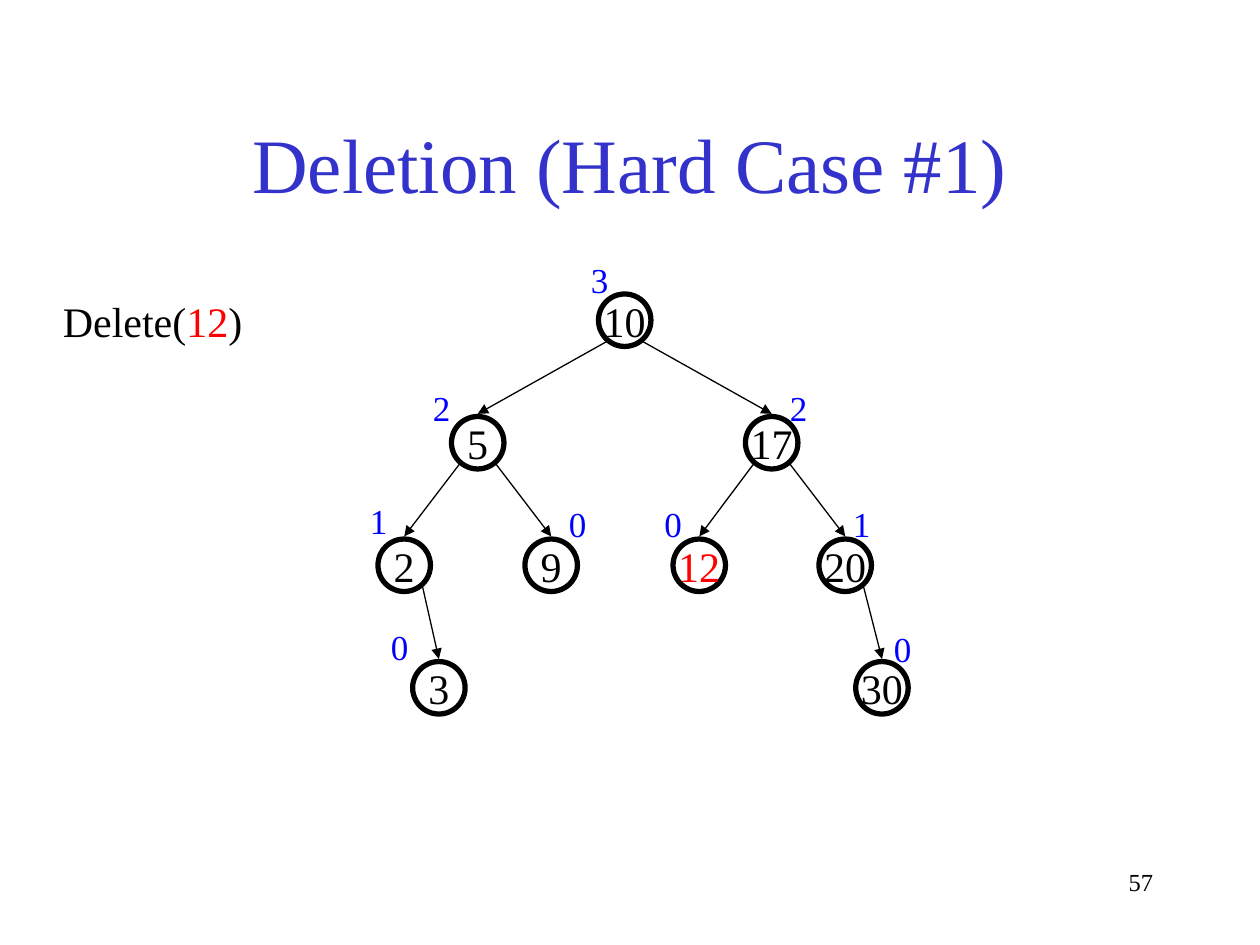
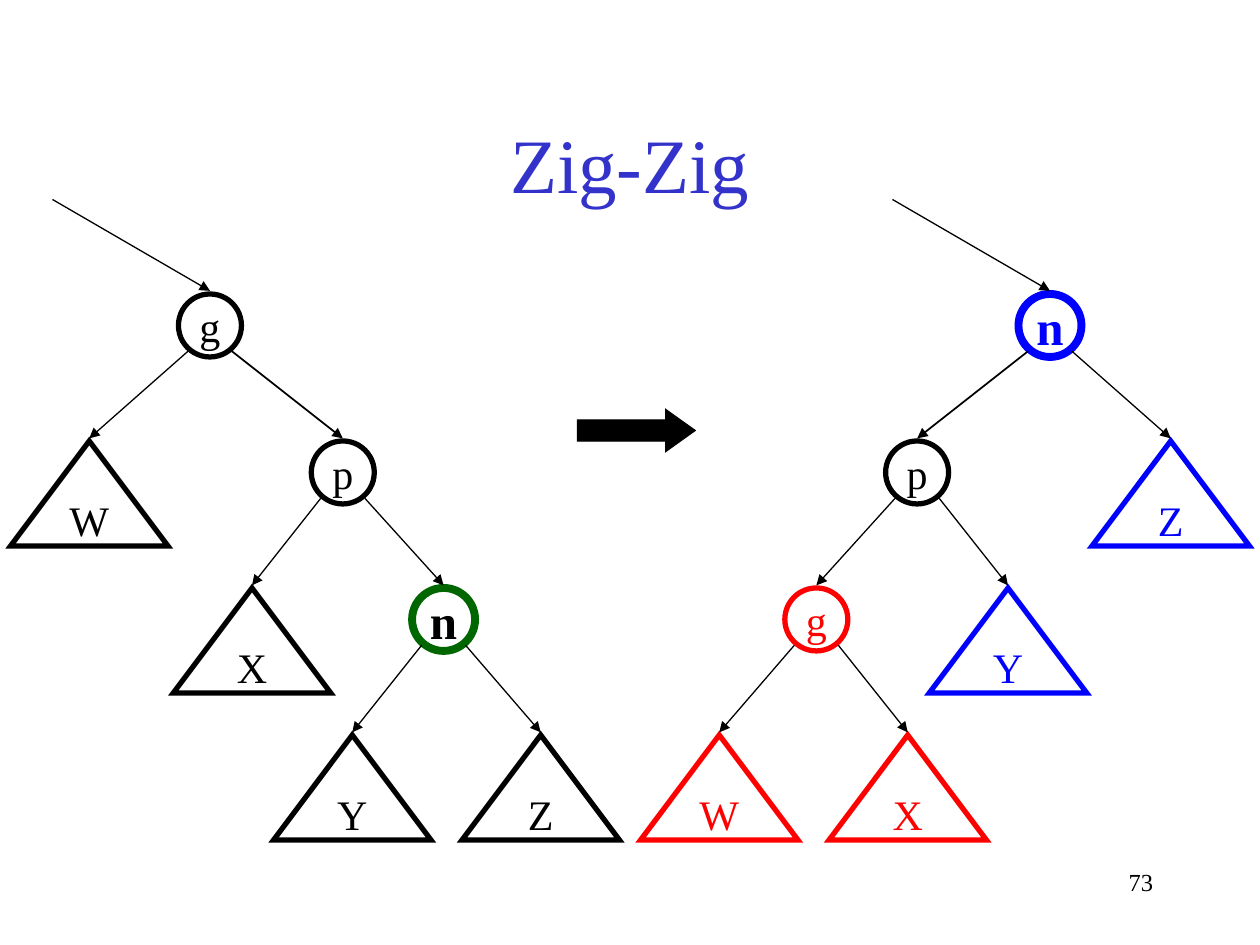
from lxml import etree
from pptx import Presentation
from pptx.dml.color import RGBColor
from pptx.enum.shapes import MSO_CONNECTOR, MSO_SHAPE
from pptx.enum.text import MSO_ANCHOR, MSO_AUTO_SIZE, PP_ALIGN
from pptx.oxml.ns import qn
from pptx.util import Inches, Pt

OVAL, TRIANGLE, ARROW = MSO_SHAPE.OVAL, MSO_SHAPE.ISOSCELES_TRIANGLE, MSO_SHAPE.RIGHT_ARROW
STRAIGHT = MSO_CONNECTOR.STRAIGHT
LEFT, CENTER, RIGHT = PP_ALIGN.LEFT, PP_ALIGN.CENTER, PP_ALIGN.RIGHT
MIDDLE = MSO_ANCHOR.MIDDLE
FIT = MSO_AUTO_SIZE.SHAPE_TO_FIT_TEXT

COLORS = {
    "title": "3333CC",
    "black": "000000",
    "red": "FF0000",
    "blue": "0000FF",
    "green": "006600",
}
FONT = "Times New Roman"
COLS, ROWS = 120, 90
ROOT_ROW = 28


def rgb(name):
    return RGBColor.from_string(COLORS[name])


class Deck:
    def __init__(self):
        self.prs = Presentation()
        self.prs.slide_width, self.prs.slide_height = Inches(10), Inches(7.5)
        self.s = None

    def x(self, cols):
        return round(self.prs.slide_width * cols / COLS)

    def y(self, rows):
        return round(self.prs.slide_height * rows / ROWS)

    def box(self, left, top, width, height):
        return self.x(left), self.y(top), self.x(width), self.y(height)

    def style(self, p, size, color="black", align=LEFT, bold=False):
        p.alignment = align
        p.font.name, p.font.size, p.font.bold = FONT, Pt(size), bold
        p.font.color.rgb = rgb(color)

    def slide(self, title, number):
        self.s = self.prs.slides.add_slide(self.prs.slide_layouts[5])
        sp = self.s.shapes.title
        sp.left, sp.top, sp.width, sp.height = self.box(9, 8, 102, 15)
        tf = sp.text_frame
        tf.text, tf.vertical_anchor = title, MIDDLE
        self.style(tf.paragraphs[0], 44, "title", CENTER)
        self.text([(number, "black")], (86, 82, 25, 6), 14, RIGHT, True)

    def text(self, runs, box, size, align=LEFT, wrap=False):
        tf = self.s.shapes.add_textbox(*self.box(*box)).text_frame
        tf.word_wrap = wrap
        if not wrap:
            tf.auto_size = FIT
        p = tf.paragraphs[0]
        self.style(p, size, runs[0][1], align)
        for words, color in runs:
            r = p.add_run()
            r.text = words
            if len(runs) > 1:
                r.font.color.rgb = rgb(color)

    def shape(self, kind, box, line, weight, fill=None):
        sp = self.s.shapes.add_shape(kind, *self.box(*box))
        sp.shadow.inherit = False
        if fill:
            sp.fill.solid()
            sp.fill.fore_color.rgb = rgb(fill)
        else:
            sp.fill.background()
        sp.line.color.rgb, sp.line.width = rgb(line), Pt(weight)
        etree.SubElement(sp.line._get_or_add_ln(), qn("a:miter"), lim="800000")
        return sp

    def node(self, kind, label, cx, top, width, height, color="black", line=None, strong=False):
        box = (cx - width / 2, top, width, height)
        sp = self.shape(kind, box, line or color, 4.5 if strong else 3)
        tf = sp.text_frame
        tf.word_wrap, tf.vertical_anchor = False, MIDDLE
        tf.text = label
        self.style(tf.paragraphs[0], 28 if strong else 24, color, CENTER, strong)

    def arrow(self, x1, y1, x2, y2, weight=0.75):
        c = self.s.shapes.add_connector(
            STRAIGHT, self.x(x1), self.y(y1), self.x(x2), self.y(y2))
        c.line.color.rgb, c.line.width = rgb("black"), Pt(weight)
        etree.SubElement(c.line._get_or_add_ln(), qn("a:tailEnd"), type="triangle")
        etree.SubElement(c._element.spPr, qn("a:effectLst"))

    def edge(self, parent, child, size, weight=0.75):
        (px, py), (cx, cy) = parent, child
        side = 1 if cx > px else -1
        self.arrow(px + side * 0.35 * size, py + 0.91 * size, cx, cy - 0.25, weight)


def deletion_slide(deck):
    deck.slide("Deletion (Hard Case #1)", "57")
    size, step = 5, 11.67
    tree = {
        "10": (59.5, 0, None, "3", -2.4, -4),
        "5": (45.5, 1, "10", "2", -3.45, -3.45),
        "17": (73.5, 1, "10", "2", 2.55, -3.45),
        "2": (38.5, 2, "5", "1", -2.45, -4.35),
        "9": (52.5, 2, "5", "0", 2.5, -4.1),
        "12": (66.6, 2, "17", "0", -2.5, -4.1),
        "20": (80.5, 2, "17", "1", 1.55, -4.1),
        "3": (41.8, 3, "2", "0", -3.75, -4),
        "30": (84, 3, "20", "0", 1.95, -3.85),
    }
    places = {key: (cx, ROOT_ROW + level * step) for key, (cx, level, *_) in tree.items()}
    for key, (_, _, parent, height, dx, dy) in tree.items():
        cx, top = places[key]
        deck.node(OVAL, key, cx, top, size, size, "red" if key == "12" else "black", "black")
        if parent:
            deck.edge(places[parent], places[key], size)
        deck.text([(height, "blue")], (cx + dx - 2, top + dy, 4, 5.28), 20)
    call = [("Delete(", "black"), ("12", "red"), (")", "black")]
    deck.text(call, (4.8, 27.6, 20.5, 6), 24, wrap=True)


def rotation_tree(deck, looks, mirrored):
    size, step = 6, 14
    spots = [(20, 0, None), (32.65, 1, 0), (42.25, 2, 1),
             (8.5, 1, 0), (24, 2, 1), (33.55, 3, 2), (51.5, 3, 2)]
    places = [(COLS - cx if mirrored else cx, ROOT_ROW + level * step) for cx, level, _ in spots]
    for i, (label, color, *line) in enumerate(looks):
        (cx, top), parent = places[i], spots[i][2]
        if i < 3:
            deck.node(OVAL, label, cx, top, size, size, color, *line, strong=label == "n")
        else:
            deck.node(TRIANGLE, label, cx, top, 15, 10, color)
        if parent is not None:
            deck.edge(places[parent], places[i], size, 1 if i == 1 else 0.75)
    root_x, root_y = places[0]
    deck.arrow(root_x - 15, 19, root_x, root_y - 0.3)


def zig_zig_slide(deck):
    deck.slide("Zig-Zig", "73")
    before = [("g", "black"), ("p", "black"), ("n", "black", "green")]
    before += [(label, "black") for label in "WXYZ"]
    after = [("n", "blue"), ("p", "black"), ("g", "red"),
             ("Z", "blue"), ("Y", "blue"), ("X", "red"), ("W", "red")]
    rotation_tree(deck, before, False)
    rotation_tree(deck, after, True)
    sp = deck.shape(ARROW, (55, 39, 11.2, 4), "black", 0.75, "black")
    sp.adjustments[0], sp.adjustments[1] = 0.5, 0.7


def main():
    deck = Deck()
    deletion_slide(deck)
    zig_zig_slide(deck)
    deck.prs.save("out.pptx")


if __name__ == "__main__":
    main()
